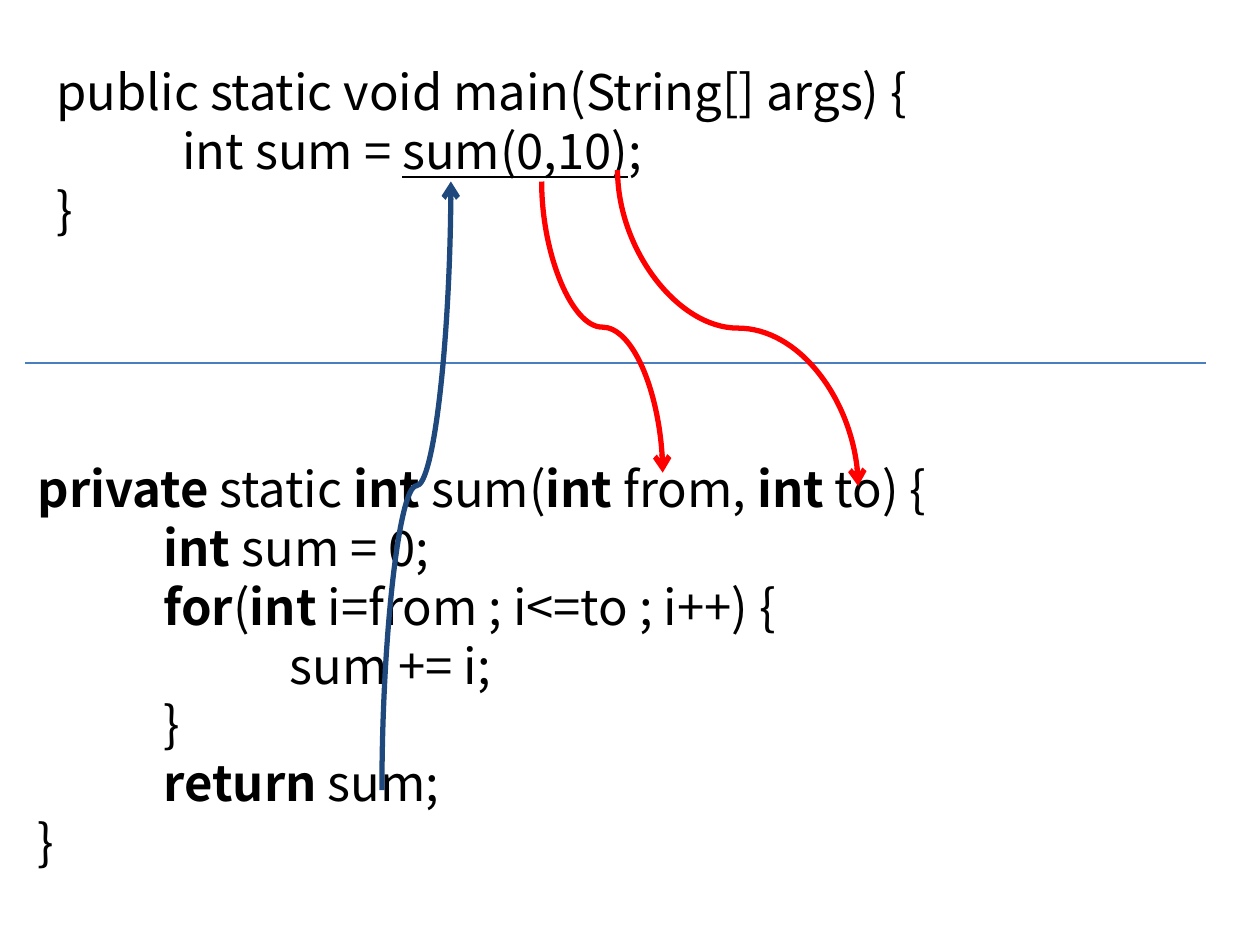
from lxml.etree import SubElement
from pptx import Presentation
from pptx.dml.color import RGBColor
from pptx.enum.shapes import MSO_CONNECTOR as Connector
from pptx.enum.text import MSO_AUTO_SIZE as AutoSize
from pptx.oxml.ns import qn
from pptx.util import Cm, Pt

MAIN_CODE = [
    "public static void main(String[] args) {",
    "\tint sum = |sum(0,10)|;",
    "}",
]
SUM_CODE = [
    "|private |static |int| sum(|int| from, |int| to) {",
    "\t|int| sum = 0;",
    "\t|for|(|int |i=from ; i<=to ; i++) {",
    "\t\tsum += i;",
    "\t}",
    "\t|return| sum;",
    "}",
]
ARGUMENT_FLOWS = [
    ((10.92, 3.66), (13.36, 9.53)),
    ((12.45, 3.43), (17.3, 9.8)),
]
RETURN_FLOW = ((7.7, 15.93), (9.09, 3.66))


def color(value):
    return RGBColor.from_string(value)


def apply(target, formats):
    for name, value in formats.items():
        setattr(target, name, value)


class CodeSlide:
    code_font = {"name": "Noto Sans CJK KR", "size": Pt(28)}
    ink = "000000"
    argument = "FF0000"
    result = "1F497D"
    rule = "4B7EBC"
    tab_width = 2.54

    def __init__(self, deck):
        self.slide = deck.slides.add_slide(deck.slide_layouts[6])

    def code(self, left, top, width, height, lines, emphasis):
        box = self.slide.shapes.add_textbox(Cm(left), Cm(top), Cm(width), Cm(height))
        frame = box.text_frame
        apply(frame, {"word_wrap": True, "auto_size": AutoSize.SHAPE_TO_FIT_TEXT})
        for index, line in enumerate(lines):
            paragraph = frame.add_paragraph() if index else frame.paragraphs[0]
            self.tab_stops(paragraph)
            for position, part in enumerate(line.split("|")):
                if part:
                    run = paragraph.add_run()
                    run.text = part
                    apply(run.font, self.code_font)
                    run.font.color.rgb = color(self.ink)
                    if position % 2:
                        apply(run.font, emphasis)

    def tab_stops(self, paragraph):
        tabs = SubElement(paragraph._p.get_or_add_pPr(), qn("a:tabLst"))
        for step in (1, 2):
            SubElement(tabs, qn("a:tab"), pos=str(Cm(self.tab_width * step)), algn="l")

    def line(self, kind, begin, end, stroke, weight):
        ends = [Cm(value) for value in (*begin, *end)]
        connector = self.slide.shapes.add_connector(kind, *ends)
        connector.line.color.rgb = color(stroke)
        connector.line.width = Pt(weight)
        SubElement(connector._element.spPr, qn("a:effectLst"))
        return connector

    def flow(self, begin, end, stroke):
        (x1, y1), (x2, y2) = begin, end
        middle_x, middle_y = (x1 + x2) / 2, (y1 + y2) / 2
        reach = abs(y2 - y1) / 2
        downward = y2 > y1
        drift = (x2 - x1) / 2 * (1 if downward else -1)
        curve = self.line(
            Connector.CURVE,
            (middle_x + reach, middle_y - drift),
            (middle_x - reach, middle_y + drift),
            stroke,
            3,
        )
        properties = curve._element.spPr
        quarter_turns = 3 if downward else 1
        properties.find(qn("a:xfrm")).set("rot", str(quarter_turns * 90 * 60000))
        SubElement(properties.find(qn("a:ln")), qn("a:tailEnd"), type="arrow")


def main():
    deck = Presentation()
    apply(deck, {"slide_width": Cm(25.4), "slide_height": Cm(19.05)})
    page = CodeSlide(deck)
    page.code(0.89, 1.12, 22, 3.84, MAIN_CODE, {"underline": True})
    page.code(0.51, 9.12, 23.39, 8.64, SUM_CODE, {"bold": True})
    page.line(Connector.STRAIGHT, (0.51, 7.32), (24.31, 7.32), page.rule, 0.75)
    for begin, end in ARGUMENT_FLOWS:
        page.flow(begin, end, page.argument)
    page.flow(*RETURN_FLOW, page.result)
    deck.save("out.pptx")


if __name__ == "__main__":
    main()
